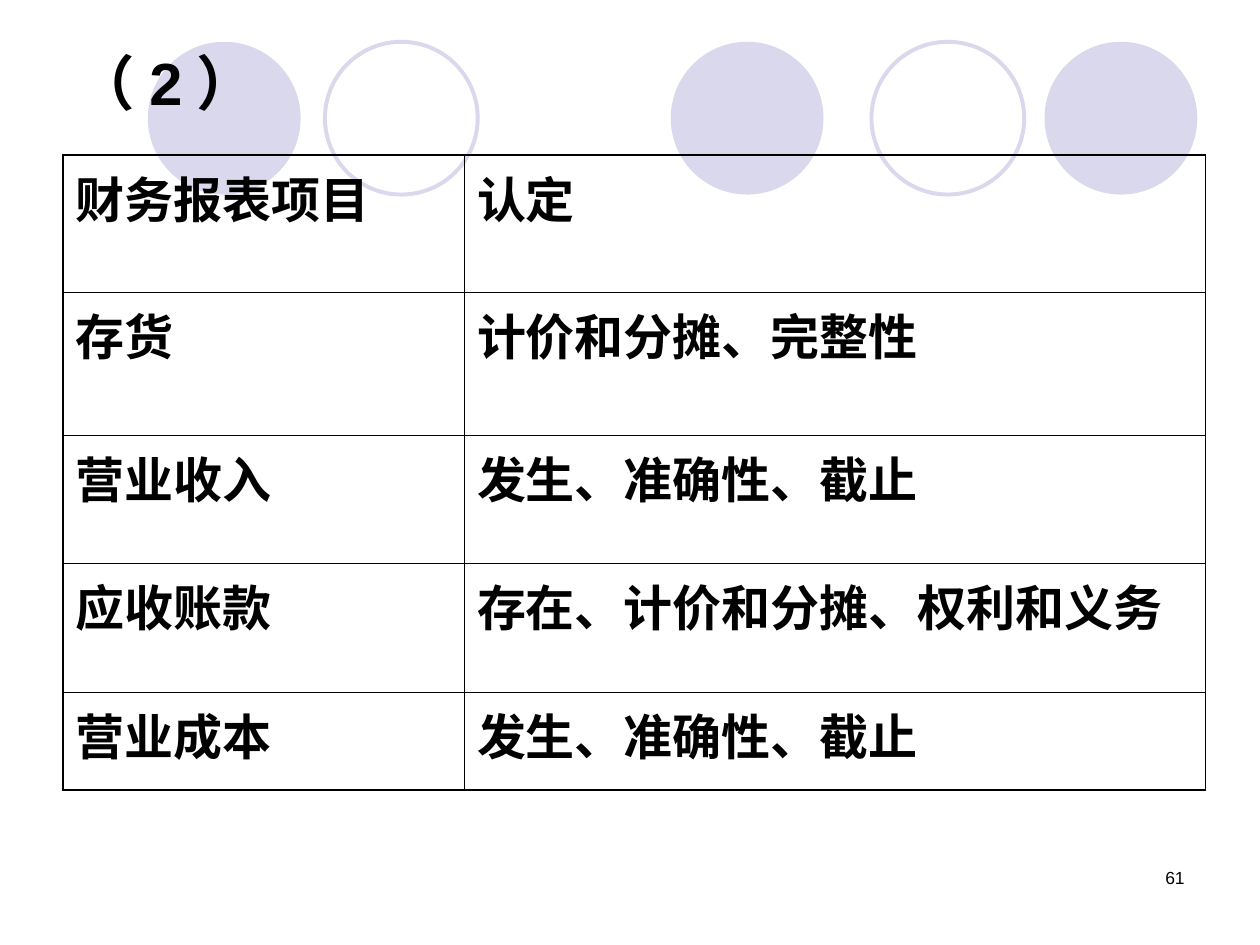
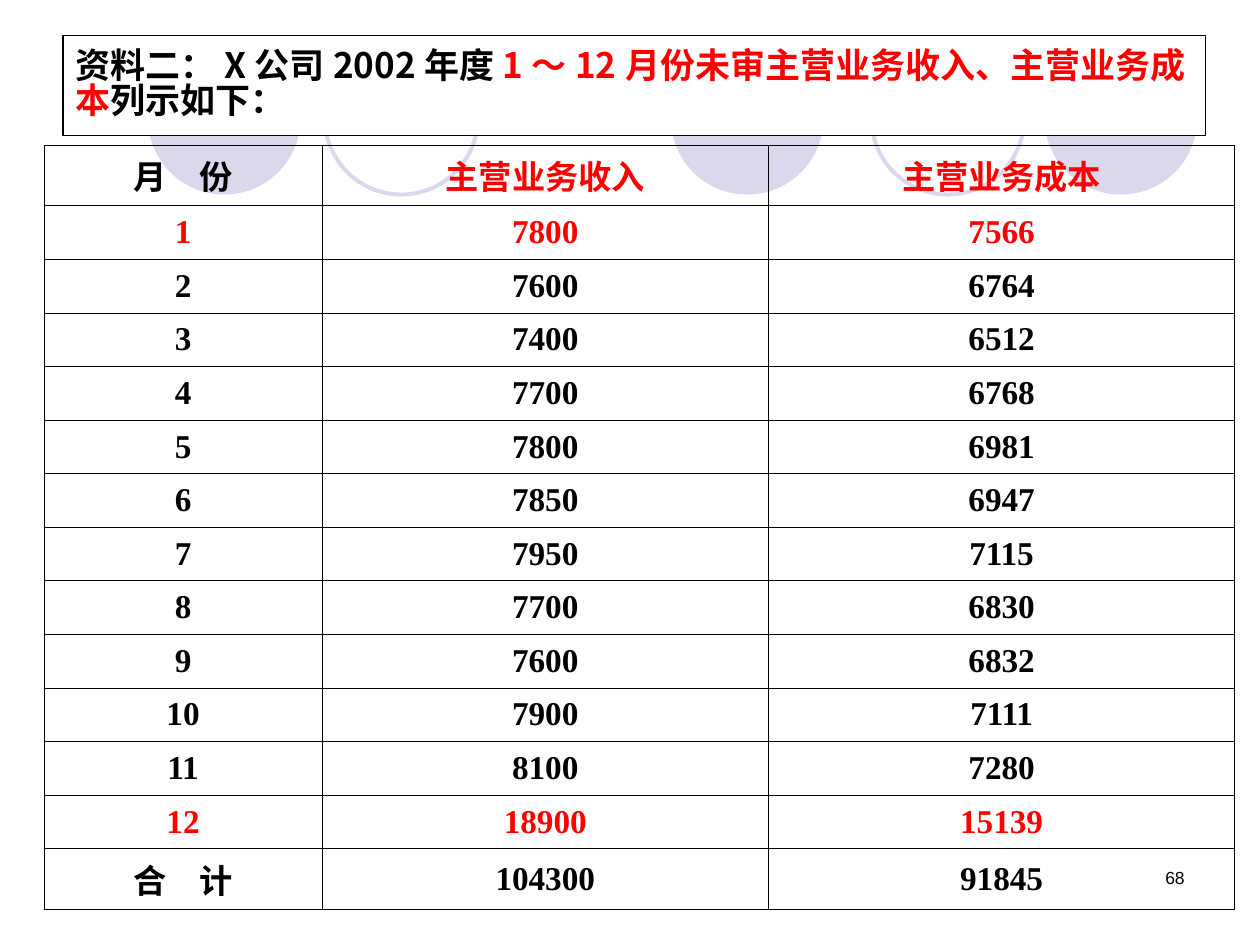
from lxml.etree import SubElement
from pptx import Presentation
from pptx.dml.color import RGBColor
from pptx.enum.shapes import MSO_SHAPE as SHAPE
from pptx.enum.text import MSO_ANCHOR as ANCHOR, MSO_AUTO_SIZE as AUTO, PP_ALIGN as ALIGN
from pptx.oxml import parse_xml
from pptx.oxml.ns import nsdecls, qn
from pptx.util import Pt

COLORS = {"ink": "000000", "red": "FF0000", "paper": "FFFFFF", "lilac": "D9D8EC"}
ARIAL, NOTO, TIMES = "Arial", "Noto Sans CJK SC", "Times New Roman"
THIN, THICK = 0.45, 1.08


def rgb(name):
    return RGBColor.from_string(COLORS[name])


class Deck:
    def __init__(self):
        self.prs = Presentation()
        self.prs.slide_width, self.prs.slide_height = Pt(720), Pt(540)
        self.s = None

    def slide(self, number):
        self.s = self.prs.slides.add_slide(self.prs.slide_layouts[5])
        tb = self.s.shapes.add_textbox(Pt(516), Pt(492), Pt(168), Pt(36))
        tb.text_frame.word_wrap = True
        p = tb.text_frame.paragraphs[0]
        p.alignment = ALIGN.RIGHT
        self.run(p, number, 10, bold=False)

    def run(self, p, text, size, font=ARIAL, color="ink", bold=True):
        r = p.add_run()
        r.text = text
        r.font.size, r.font.bold, r.font.name = Pt(size), bold, font
        r.font.color.rgb = rgb(color)
        SubElement(r._r.get_or_add_rPr(), qn("a:ea")).set("typeface", NOTO)

    def master_circles(self, circles, top=23.9, size=87.3):
        """Draw the circle band and move it behind everything, onto the master."""
        tree = self.prs.slide_master.shapes.element
        for i, (left, filled) in enumerate(circles):
            sp = self.s.shapes.add_shape(SHAPE.OVAL, Pt(left), Pt(top), Pt(size), Pt(size))
            sp.shadow.inherit = False
            if filled:
                sp.fill.solid()
                sp.fill.fore_color.rgb = rgb("lilac")
                sp.line.fill.background()
            else:
                sp.fill.background()
                sp.line.color.rgb = rgb("lilac")
                sp.line.width = Pt(2.25)
            tree.insert(2 + i, sp.element)

    def title(self, box, runs, size, font=ARIAL, spacing=1.0, framed=False):
        sp = self.s.shapes.title
        sp.left, sp.top, sp.width, sp.height = map(Pt, box)
        if framed:
            sp.fill.solid()
            sp.fill.fore_color.rgb = rgb("paper")
            sp.line.color.rgb = rgb("ink")
            sp.line.width = Pt(0.75)
        tf = sp.text_frame
        tf.word_wrap, tf.auto_size, tf.vertical_anchor = True, AUTO.NONE, ANCHOR.MIDDLE
        p = tf.paragraphs[0]
        p.alignment, p.line_spacing = ALIGN.LEFT, spacing
        for text, color in runs:
            self.run(p, text, size, font, color)

    def table(self, left, top, widths, heights, rows, style, outer=THIN,
              align=ALIGN.LEFT, anchor=ANCHOR.TOP):
        """Fill a table; style(row, column) gives the run settings of a cell."""
        table = self.s.shapes.add_table(len(rows), len(widths), Pt(left), Pt(top),
                                        Pt(sum(widths)), Pt(sum(heights))).table
        table.first_row = table.horz_banding = False
        for column, width in zip(table.columns, widths):
            column.width = Pt(width)
        for row, height in zip(table.rows, heights):
            row.height = Pt(height)
        for i, texts in enumerate(rows):
            for j, text in enumerate(texts):
                cell = table.cell(i, j)
                cell.margin_left = cell.margin_right = Pt(7.2)
                cell.margin_top = cell.margin_bottom = Pt(3.6)
                cell.vertical_anchor = anchor
                cell.fill.background()
                on_edge = {"L": j == 0, "R": j == len(widths) - 1,
                           "T": i == 0, "B": i == len(rows) - 1}
                self.borders(cell, {side: outer if edge else THIN
                                    for side, edge in on_edge.items()})
                p = cell.text_frame.paragraphs[0]
                p.alignment = align
                self.run(p, text, **style(i, j))

    def borders(self, cell, widths):
        tc_pr = cell._tc.get_or_add_tcPr()
        for k, (side, width) in enumerate(widths.items()):
            tc_pr.insert(k, parse_xml(
                f'<a:ln{side} {nsdecls("a")} w="{Pt(width)}"><a:solidFill>'
                f'<a:srgbClr val="{COLORS["ink"]}"/></a:solidFill></a:ln{side}>'))


ASSERTIONS = [
    ("财务报表项目", "认定"),
    ("存货", "计价和分摊、完整性"),
    ("营业收入", "发生、准确性、截止"),
    ("应收账款", "存在、计价和分摊、权利和义务"),
    ("营业成本", "发生、准确性、截止"),
]
REVENUE = [7800, 7600, 7400, 7700, 7800, 7850, 7950, 7700, 7600, 7900, 8100, 18900]
COST = [7566, 6764, 6512, 6768, 6981, 6947, 7115, 6830, 6832, 7111, 7280, 15139]
MONTHS = [
    ("月　份", "主营业务收入", "主营业务成本"),
    *((str(m), str(r), str(c)) for m, (r, c) in enumerate(zip(REVENUE, COST), 1)),
    ("合　计", "104300", "91845"),
]


def month_style(i, j):
    total = len(MONTHS) - 1
    is_label = i == 0 or (i == total and j == 0)
    is_red = i in (1, 12) or (i == 0 and j > 0)
    return {"size": 19, "font": NOTO if is_label else TIMES,
            "color": "red" if is_red else "ink"}


def main():
    deck = Deck()

    deck.slide("61")
    deck.master_circles([(383.3, True), (596.9, True), (84.5, True),
                         (498, False), (185.7, False)])
    deck.title((36, 21.6, 648, 49.7), [("（2）", "ink")], 34)
    deck.table(36, 88.6, (229.4, 423.4), (78.5, 81.6, 73.5, 73.5, 55.9), ASSERTIONS,
               lambda i, j: {"size": 28}, outer=THICK)

    deck.slide("68")
    deck.title((36, 20.4, 653, 56.9),
               [("资料二：X公司2002年度", "ink"),
                ("1～12月份未审主营业务收入、主营业务成本", "red"),
                ("列示如下：", "ink")],
               20, NOTO, spacing=0.83, framed=True)
    deck.table(25.2, 83, (158.8, 255.2, 266.4), [34.6] + [30.62] * 12 + [34.6], MONTHS,
               month_style, align=ALIGN.CENTER, anchor=ANCHOR.MIDDLE)

    deck.prs.save("out.pptx")


if __name__ == "__main__":
    main()
